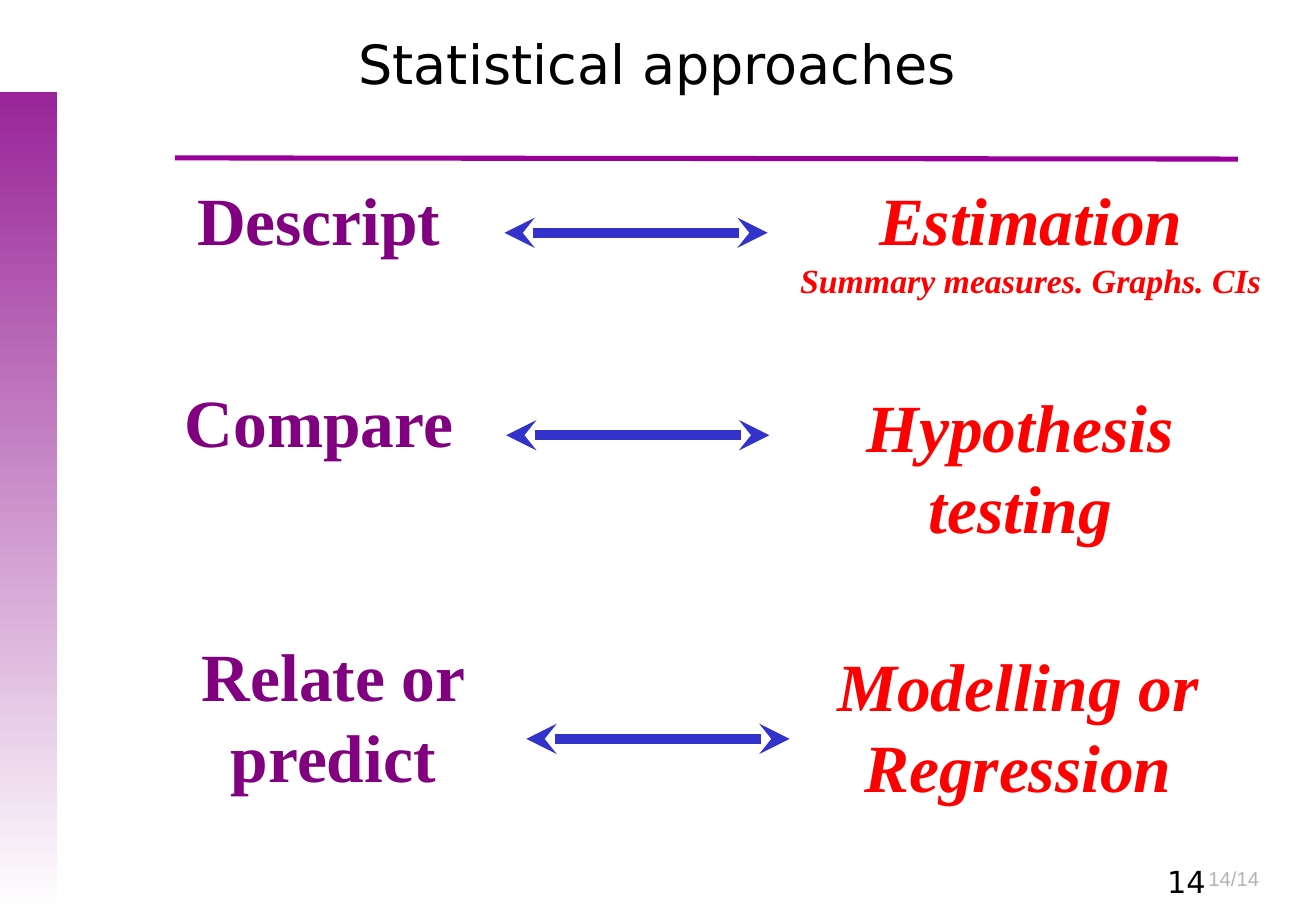
from dataclasses import dataclass

from lxml.etree import SubElement
from pptx import Presentation
from pptx.dml.color import RGBColor
from pptx.enum.shapes import MSO_CONNECTOR, MSO_SHAPE
from pptx.enum.text import MSO_ANCHOR, MSO_AUTO_SIZE, PP_ALIGN
from pptx.oxml.ns import qn
from pptx.shapes.connector import Connector
from pptx.slide import Slide
from pptx.util import Pt

COLORS = {
    "rule": "990099",
    "band": "992598",
    "white": "FFFFFF",
    "goal": "800080",
    "method": "FF0000",
    "arrow": "3333CC",
    "black": "000000",
    "grey": "B3B3B3",
}
SERIF, SANS, ARIAL = "Times New Roman", "DejaVu Sans", "Arial"
ARROW_LENGTH = 156


@dataclass(frozen=True)
class Style:
    font: str
    size: float
    color: str
    bold: bool = False
    italic: bool = False


@dataclass(frozen=True)
class Label:
    left: float
    top: float
    width: float
    height: float
    lines: tuple[tuple[str, Style], ...]
    align: PP_ALIGN = PP_ALIGN.CENTER
    anchor: MSO_ANCHOR = MSO_ANCHOR.TOP
    grow: bool = False


@dataclass(frozen=True)
class Approach:
    """A study goal, the arrow beside it and the matching method."""
    goal: Label
    arrow_left: float
    arrow_y: float
    method: Label


TITLE = Style(SANS, 32, "black")
NUMBER = Style(SANS, 18, "black")
COUNT = Style(ARIAL, 12, "grey")
GOAL = Style(SERIF, 40, "goal", bold=True)
METHOD = Style(SERIF, 40, "method", bold=True, italic=True)
DETAIL = Style(SERIF, 20, "method", bold=True, italic=True)

FRAME_LABELS = (
    Label(709.2, 509.8, 104.4, 28.8, (("14/14", COUNT),), PP_ALIGN.LEFT),
    Label(684.7, 508.3, 83.5, 22.3, (("14", NUMBER),), PP_ALIGN.LEFT),
    Label(119.5, 20.2, 540.7, 33.8, (("Statistical approaches", TITLE),),
          anchor=MSO_ANCHOR.MIDDLE),
)
APPROACHES = (
    Approach(
        Label(39, 102.2, 300, 55.4, (("Descript", GOAL),), grow=True),
        299, 138,
        Label(442.1, 102.2, 337.7, 79.9,
              (("Estimation", METHOD), ("Summary measures. Graphs. CIs", DETAIL)), grow=True),
    ),
    Approach(
        Label(39, 221.8, 300, 55.4, (("Compare", GOAL),), grow=True),
        300, 258,
        Label(463.7, 224.6, 282.2, 104.4, (("Hypothesis testing", METHOD),), grow=True),
    ),
    Approach(
        Label(47.5, 372.2, 300, 104.4, (("Relate or predict", GOAL),), grow=True),
        312, 438,
        Label(462.2, 378, 282.2, 104.4, (("Modelling or Regression", METHOD),), grow=True),
    ),
)


def rgb(name: str) -> RGBColor:
    return RGBColor.from_string(COLORS[name])


def add_label(s: Slide, label: Label) -> None:
    sp = s.shapes.add_textbox(Pt(label.left), Pt(label.top), Pt(label.width), Pt(label.height))
    tf = sp.text_frame
    tf.word_wrap = True
    tf.vertical_anchor = label.anchor
    tf.auto_size = MSO_AUTO_SIZE.SHAPE_TO_FIT_TEXT if label.grow else MSO_AUTO_SIZE.NONE
    for i, (text, style) in enumerate(label.lines):
        p = tf.add_paragraph() if i else tf.paragraphs[0]
        p.alignment = label.align
        r = p.add_run()
        r.text = text
        r.font.name = style.font
        r.font.size = Pt(style.size)
        r.font.bold = style.bold
        r.font.italic = style.italic
        r.font.color.rgb = rgb(style.color)


def add_line(s: Slide, x1: float, y1: float, x2: float, y2: float,
             color: str, width: float) -> Connector:
    cx = s.shapes.add_connector(MSO_CONNECTOR.STRAIGHT, Pt(x1), Pt(y1), Pt(x2), Pt(y2))
    cx.line.color.rgb = rgb(color)
    cx.line.width = Pt(width)
    SubElement(cx._element.spPr, qn("a:effectLst"))
    return cx


def add_double_arrow(s: Slide, left: float, y: float) -> None:
    cx = add_line(s, left, y, left + ARROW_LENGTH, y, "arrow", 6)
    ln = cx.line._get_or_add_ln()
    for end in ("a:headEnd", "a:tailEnd"):
        SubElement(ln, qn(end), type="stealth")


def add_side_band(s: Slide) -> None:
    sp = s.shapes.add_shape(MSO_SHAPE.RECTANGLE, Pt(0), Pt(54.7), Pt(33.8), Pt(485.3))
    sp.shadow.inherit = False
    sp.line.fill.background()
    sp.fill.gradient()
    sp.fill.gradient_angle = 270
    for stop, position, color in zip(sp.fill.gradient_stops, (0, 1), ("band", "white")):
        stop.position = position
        stop.color.rgb = rgb(color)


def main() -> None:
    prs = Presentation()
    prs.slide_width, prs.slide_height = Pt(780), Pt(540)
    s = prs.slides.add_slide(prs.slide_layouts[6])
    add_line(s, 103.7, 93.6, 733.7, 94.3, "rule", 3)
    add_side_band(s)
    for label in FRAME_LABELS:
        add_label(s, label)
    for approach in APPROACHES:
        add_label(s, approach.goal)
        add_label(s, approach.method)
        add_double_arrow(s, approach.arrow_left, approach.arrow_y)
    prs.save("out.pptx")


if __name__ == "__main__":
    main()
